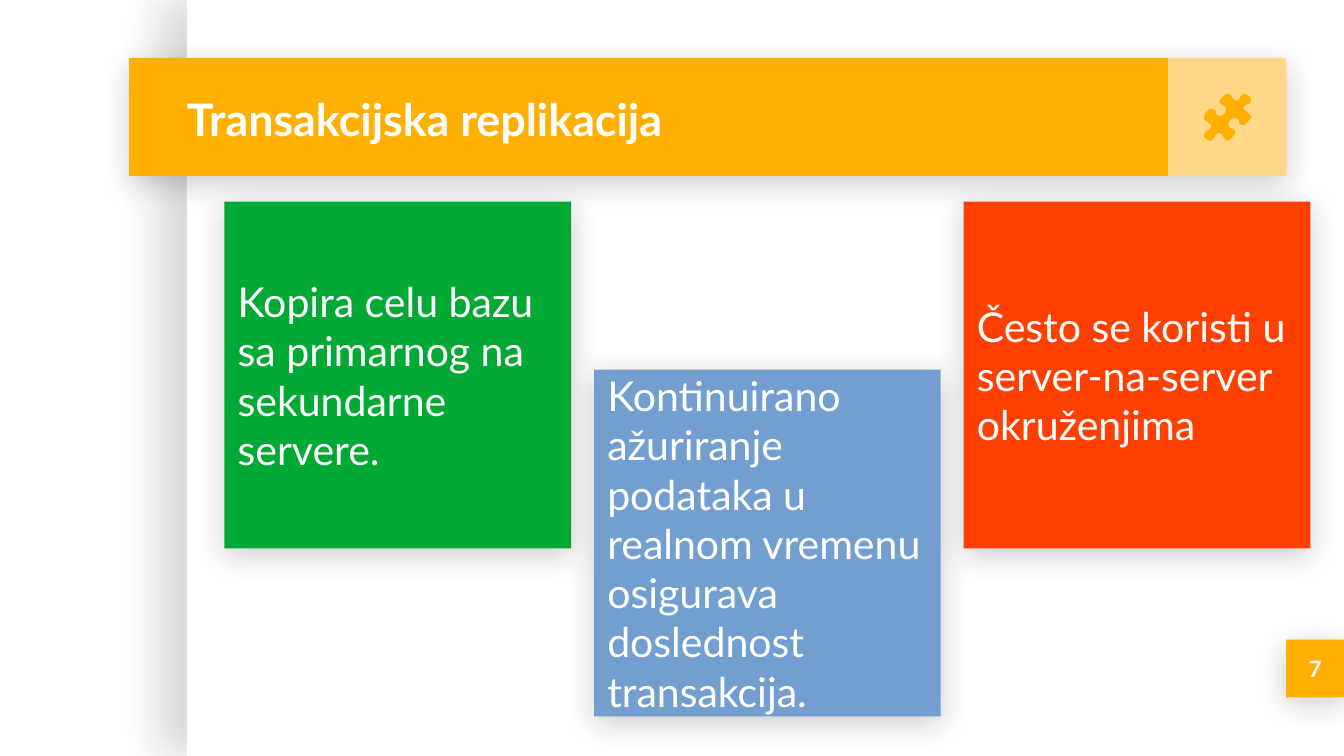
from lxml import etree
from pptx import Presentation, util as u
from pptx.dml.color import RGBColor
from pptx.enum import shapes, text
from pptx.oxml import ns

Inches = u.Inches
HUES = {"white": "FFFFFF", "gold": "FFB000", "green": "00A933",
        "blue": "729FCF", "red": "FF4000", "black": "000000"}
SOFT = {"alpha": 20, "blur": 16.9, "dist": 3.7, "angle": 90}
SIDE = {"alpha": 15, "blur": 22.5, "dist": 15, "angle": 180}
CARDS = [
    ("green", 1.5, "Kopira celu bazu sa primarnog na sekundarne servere."),
    ("blue", 2.75, "Kontinuirano ažuriranje podataka u realnom vremenu "
                   "osigurava doslednost transakcija."),
    ("red", 1.5, "Često se koristi u server-na-server okruženjima"),
]
PUZZLE = [
    (17, 0), (15, 1), (12, 4), (11, 6), (12, 7), (15, 9), (16, 10), (16, 13),
    (15, 15), (13, 16), (10, 16), (9, 15), (8, 12), (6, 11), (4, 11), (1, 14),
    (0, 17), (0, 19), (4, 22), (5, 23), (5, 25), (3, 27), (1, 28), (0, 30),
    (0, 32), (1, 33), (3, 34), (5, 35), (7, 33), (8, 31), (10, 29), (12, 29),
    (13, 30), (15, 33), (17, 35), (19, 34), (23, 30), (23, 28), (22, 26),
    (19, 25), (18, 23), (19, 20), (21, 18), (23, 18), (26, 19), (26, 22),
    (28, 23), (30, 23), (34, 19), (35, 17), (34, 15), (30, 12), (29, 10),
    (31, 8), (34, 7), (35, 5), (34, 2), (31, 0), (29, 0), (27, 2), (26, 4),
    (24, 5), (22, 4), (19, 0),
]


def tint(item, hue, alpha=100):
    """Fill a shape with one colour and drop its outline."""
    item.shadow.inherit = False
    item.fill.solid()
    item.fill.fore_color.rgb = RGBColor.from_string(HUES[hue])
    item.line.fill.background()
    if alpha < 100:
        tag = item._element.spPr.find(".//" + ns.qn("a:srgbClr"))
        etree.SubElement(tag, ns.qn("a:alpha"), val=str(alpha * 1000))


def shade(item, alpha, blur, dist, angle):
    """Cast an outer shadow from a shape."""
    group = item._element.spPr.find(ns.qn("a:effectLst"))
    cast = etree.SubElement(
        group, ns.qn("a:outerShdw"), blurRad=str(u.Pt(blur)),
        dist=str(u.Pt(dist)), dir=str(angle * 60000), algn="bl", rotWithShape="0")
    tag = etree.SubElement(cast, ns.qn("a:srgbClr"), val=HUES["black"])
    etree.SubElement(tag, ns.qn("a:alpha"), val=str(alpha * 1000))


def block(slide, box, hue, alpha=100, shadow=None):
    """Add a plain rectangle."""
    item = slide.shapes.add_shape(
        shapes.MSO_SHAPE.RECTANGLE, *[Inches(n) for n in box])
    tint(item, hue, alpha)
    if shadow:
        shade(item, **shadow)
    return item


def write(item, words, size, bold=False, align=text.PP_ALIGN.LEFT):
    """Set the text of a shape and its format."""
    frame = item.text_frame
    frame.text = words
    look = {"word_wrap": True, "auto_size": text.MSO_AUTO_SIZE.NONE,
            "vertical_anchor": text.MSO_ANCHOR.MIDDLE}
    look.update({"margin_" + side: Inches(0.1)
                 for side in ("left", "top", "right", "bottom")})
    for key, val in look.items():
        setattr(frame, key, val)
    para = frame.paragraphs[0]
    para.alignment = align
    font = para.runs[0].font
    for key, val in {"name": "Lato", "size": u.Pt(size), "bold": bold}.items():
        setattr(font, key, val)
    font.color.rgb = RGBColor.from_string(HUES["white"])


def head(slide, words):
    """Place the title in front of its bar."""
    title = slide.shapes.title
    place = {"left": 1.29, "top": 0.44, "width": 7.37, "height": 0.88}
    for key, val in place.items():
        setattr(title, key, Inches(val))
    write(title, words, 24, bold=True)
    slide.shapes._spTree.append(title._element)


def icon(slide, left, top):
    """Draw the puzzle piece."""
    pen = slide.shapes.build_freeform(*PUZZLE[0], scale=Inches(0.01))
    pen.add_line_segments(PUZZLE[1:], close=True)
    tint(pen.convert_to_shape(Inches(left), Inches(top)), "gold")


def main():
    """Build and save the slide."""
    deck = Presentation()
    deck.slide_width = Inches(10)
    deck.slide_height = Inches(10 * 9 / 16)
    slide = deck.slides.add_slide(deck.slide_layouts[5])
    block(slide, (1.39, 0, 8.61, 10 * 9 / 16), "white", shadow=SIDE)
    badge = block(slide, (9.57, 4.76, 0.43, 0.43), "gold", shadow=SOFT)
    write(badge, "7", 12, bold=True, align=text.PP_ALIGN.CENTER)
    block(slide, (0.96, 0.43, 8.61, 0.88), "gold", shadow=SOFT)
    block(slide, (8.69, 0.43, 0.88, 0.88), "white", alpha=53)
    head(slide, "Transakcijska replikacija")
    icon(slide, 8.96, 0.7)
    for col, (hue, top, words) in enumerate(CARDS):
        card = block(slide, (1.67 + 2.75 * col, top, 2.58, 2.58), hue, shadow=SOFT)
        write(card, words, 22)
    deck.save("out.pptx")


if __name__ == "__main__":
    main()
